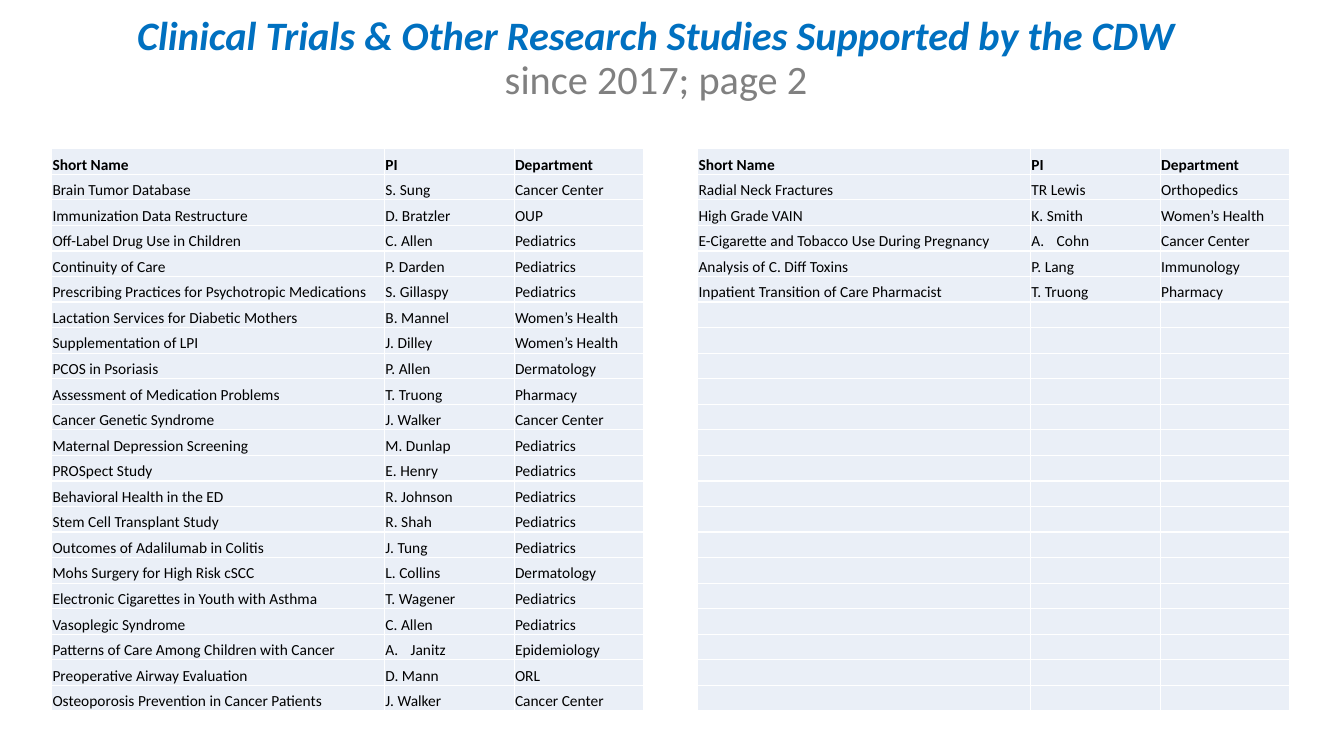
from lxml.etree import SubElement
from pptx import Presentation
from pptx.dml.color import RGBColor
from pptx.enum.text import MSO_ANCHOR as Anchor, PP_ALIGN as Align
from pptx.oxml import parse_xml
from pptx.oxml.ns import nsdecls, qn
from pptx.util import Pt

TITLE = [
    ("Clinical Trials & Other Research Studies Supported by the CDW",
     {"bold": True, "italic": True}, "0070C0"),
    ("since 2017; page 2", {"bold": False, "italic": False}, "808080"),
]
HEADER = ("Short Name", "PI", "Department")
LEFT_STUDIES = [
    ("Brain Tumor Database", "S. Sung", "Cancer Center"),
    ("Immunization Data Restructure", "D. Bratzler", "OUP"),
    ("Off-Label Drug Use in Children", "C. Allen", "Pediatrics"),
    ("Continuity of Care", "P. Darden", "Pediatrics"),
    ("Prescribing Practices for Psychotropic Medications", "S. Gillaspy", "Pediatrics"),
    ("Lactation Services for Diabetic Mothers", "B. Mannel", "Women’s Health"),
    ("Supplementation of LPI", "J. Dilley", "Women’s Health"),
    ("PCOS in Psoriasis", "P. Allen", "Dermatology"),
    ("Assessment of Medication Problems", "T. Truong", "Pharmacy"),
    ("Cancer Genetic Syndrome", "J. Walker", "Cancer Center"),
    ("Maternal Depression Screening", "M. Dunlap", "Pediatrics"),
    ("PROSpect Study", "E. Henry", "Pediatrics"),
    ("Behavioral Health in the ED", "R. Johnson", "Pediatrics"),
    ("Stem Cell Transplant Study", "R. Shah", "Pediatrics"),
    ("Outcomes of Adalilumab in Colitis", "J. Tung", "Pediatrics"),
    ("Mohs Surgery for High Risk cSCC", "L. Collins", "Dermatology"),
    ("Electronic Cigarettes in Youth with Asthma", "T. Wagener", "Pediatrics"),
    ("Vasoplegic Syndrome", "C. Allen", "Pediatrics"),
    ("Patterns of Care Among Children with Cancer", "Janitz", "Epidemiology"),
    ("Preoperative Airway Evaluation", "D. Mann", "ORL"),
    ("Osteoporosis Prevention in Cancer Patients", "J. Walker", "Cancer Center"),
]
RIGHT_STUDIES = [
    ("Radial Neck Fractures", "TR Lewis", "Orthopedics"),
    ("High Grade VAIN", "K. Smith", "Women’s Health"),
    ("E-Cigarette and Tobacco Use During Pregnancy", "Cohn", "Cancer Center"),
    ("Analysis of C. Diff Toxins", "P. Lang", "Immunology"),
    ("Inpatient Transition of Care Pharmacist", "T. Truong", "Pharmacy"),
]
LETTERED_NAMES = {"Janitz", "Cohn"}
TABLES = [(36.9, LEFT_STUDIES), (498.4, RIGHT_STUDIES)]
TABLE_TOP = 106.2
COLUMN_WIDTHS = (237.8, 92.6, 92.6)
ROW_HEIGHT = 18.28
ROW_COUNT = len(LEFT_STUDIES) + 1
CELL_FORMAT = {
    "vertical_anchor": Anchor.BOTTOM,
    "margin_left": Pt(0.6), "margin_top": Pt(0.6),
    "margin_right": Pt(0.6), "margin_bottom": Pt(0),
}


def color(value):
    return RGBColor.from_string(value)


def apply(target, values):
    for name, value in values.items():
        setattr(target, name, value)


def add_span(para, text, size, shade, values):
    span = para.add_run()
    span.text = text
    apply(span.font, {"name": "Calibri", "size": Pt(size), **values})
    span.font.color.rgb = color(shade)


def add_letter(para):
    props = para._p.get_or_add_pPr()
    props.set("marL", str(Pt(18)))
    props.set("indent", str(-Pt(18)))
    SubElement(props, qn("a:buFont")).set("typeface", "+mj-lt")
    SubElement(props, qn("a:buAutoNum")).set("type", "alphaUcPeriod")


def fill_cell(cell, text, bold):
    apply(cell, CELL_FORMAT)
    cell.fill.solid()
    cell.fill.fore_color.rgb = color("EAEFF7")
    for place, side in enumerate(("lnL", "lnR", "lnT", "lnB")):
        cell._tc.tcPr.insert(place, parse_xml(
            f'<a:{side} {nsdecls("a")} w="{Pt(1)}"><a:solidFill>'
            f'<a:srgbClr val="FFFFFF"/></a:solidFill></a:{side}>'))
    para = cell.text_frame.paragraphs[0]
    if text in LETTERED_NAMES:
        add_letter(para)
    if text:
        add_span(para, text, 11, "000000", {"bold": bold})
    else:
        SubElement(para._p, qn("a:endParaRPr")).set("sz", "1100")


def add_studies(page, left, studies):
    frame = page.shapes.add_table(
        ROW_COUNT, len(HEADER), Pt(left), Pt(TABLE_TOP),
        Pt(sum(COLUMN_WIDTHS)), Pt(ROW_HEIGHT * ROW_COUNT))
    table = frame.table
    apply(table, {"first_row": False, "horz_banding": False})
    for column, width in zip(table.columns, COLUMN_WIDTHS):
        column.width = Pt(width)
    blanks = [("", "", "")] * (ROW_COUNT - 1 - len(studies))
    for index, values in enumerate([HEADER] + studies + blanks):
        table.rows[index].height = Pt(ROW_HEIGHT)
        for cell, text in zip(table.rows[index].cells, values):
            fill_cell(cell, text, index == 0)


def add_title(page):
    box = page.shapes.add_textbox(Pt(54.7), Pt(10.8), Pt(828), Pt(63.4))
    apply(box.text_frame, {"word_wrap": True, "vertical_anchor": Anchor.MIDDLE,
                           "margin_top": 0, "margin_bottom": 0})
    para = box.text_frame.paragraphs[0]
    apply(para, {"alignment": Align.CENTER, "line_spacing": 0.9})
    for index, (text, values, shade) in enumerate(TITLE):
        if index:
            para.add_line_break()
        add_span(para, text, 28.8, shade, values)


def main():
    deck = Presentation()
    apply(deck, {"slide_width": Pt(960), "slide_height": Pt(540)})
    page = deck.slides.add_slide(deck.slide_layouts[6])
    add_title(page)
    for left, studies in TABLES:
        add_studies(page, left, studies)
    deck.save("out.pptx")


if __name__ == "__main__":
    main()
